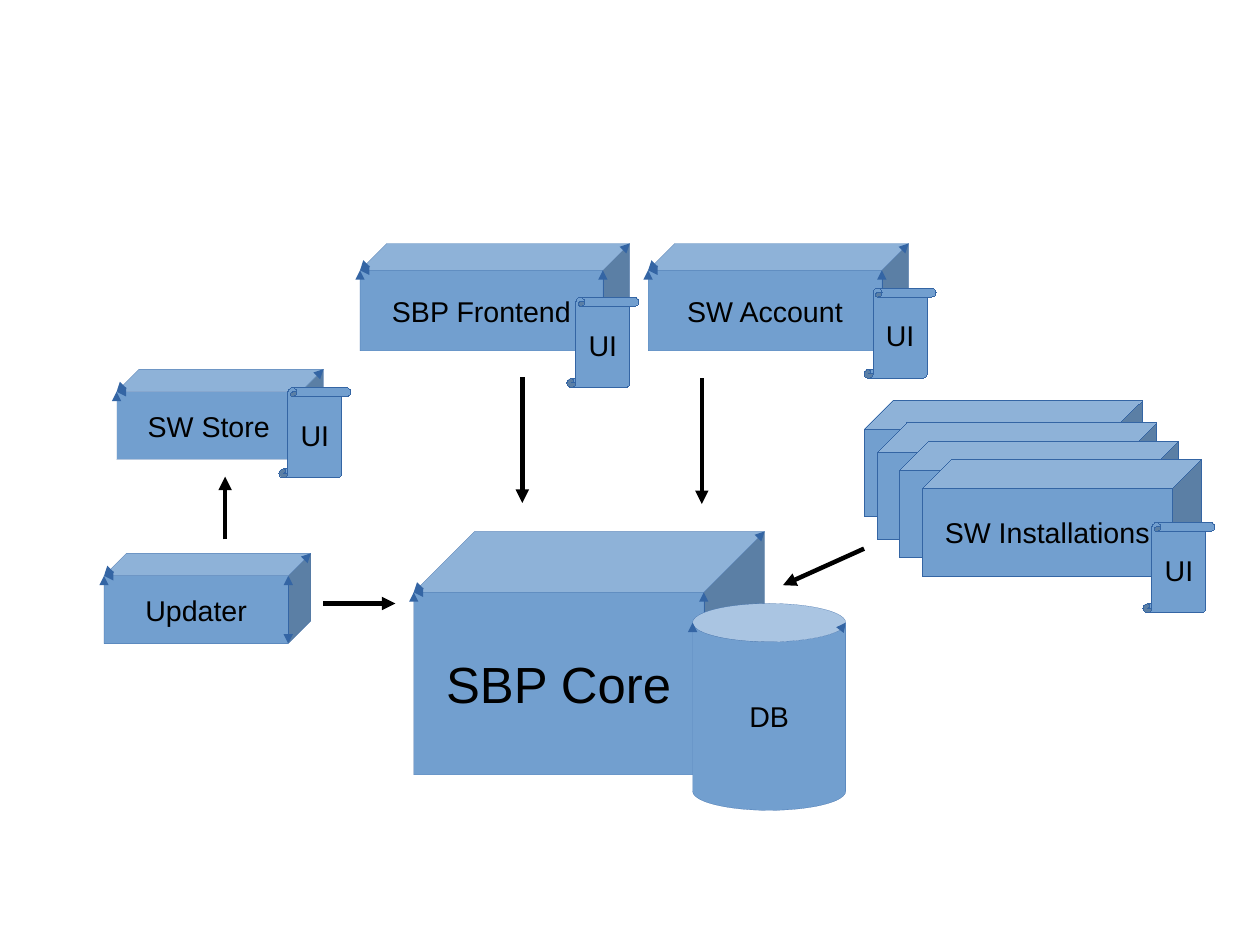
"""Builds the SBP architecture slide: systems, their user interfaces and data flows."""
from lxml.etree import SubElement
from pptx import Presentation
from pptx.dml.color import RGBColor
from pptx.enum.shapes import MSO_CONNECTOR, MSO_SHAPE
from pptx.enum.text import MSO_ANCHOR, PP_ALIGN
from pptx.oxml.ns import qn
from pptx.util import Cm, Inches, Pt

BLUE = RGBColor(0x72, 0x9F, 0xCF)
DARK_BLUE = RGBColor(0x34, 0x65, 0xA4)
BLACK = RGBColor(0, 0, 0)

SYSTEMS = [
    ("SBP Core", (3.62, 4.65, 3.07, 2.13), 32),
    ("SW Store", (1.02, 3.23, 1.81, 0.79), 18),
    ("SW Account", (5.67, 2.13, 2.28, 0.94), 18),
    ("SBP Frontend", (3.15, 2.13, 2.36, 0.94), 18),
    ("Updater", (0.91, 4.84, 1.81, 0.79), 18),
]
DATABASE = ("DB", (6.06, 5.28, 1.34, 1.81))
INSTALLATIONS = [
    ("", (7.56, 3.5)),
    ("", (7.68, 3.7)),
    ("", (7.87, 3.86)),
    ("SW Installations", (8.07, 4.02)),
]
INSTALLATION_SIZE = (2.44, 1.02)
INTERFACES = [(2.44, 3.39), (4.96, 2.6), (7.56, 2.52), (10, 4.57)]
INTERFACE_SIZE = (0.63, 0.79)
FLOWS = [
    ((6.14, 3.31), (6.14, 4.41)),
    ((7.56, 4.8), (6.85, 5.12)),
    ((2.83, 5.28), (3.46, 5.28)),
    ((1.97, 4.72), (1.97, 4.17)),
    ((4.57, 3.3), (4.57, 4.4)),
]


def add_arrowheads(outline, *ends):
    for end in ends:
        SubElement(outline, qn(end), type="triangle")


def add_part(slide, text, *, preset, box, size=18, arrowheads=False):
    part = slide.shapes.add_shape(preset, *map(Inches, box))
    part.shadow.inherit = False
    part.fill.solid()
    part.fill.fore_color.rgb = BLUE
    part.line.color.rgb = DARK_BLUE
    outline = part._element.spPr.find(qn("a:ln"))
    outline.set("w", "0")
    if arrowheads:
        add_arrowheads(outline, "a:headEnd", "a:tailEnd")
    if text:
        frame = part.text_frame
        frame.word_wrap = False
        frame.vertical_anchor = MSO_ANCHOR.MIDDLE
        paragraph = frame.paragraphs[0]
        paragraph.alignment = PP_ALIGN.CENTER
        run = paragraph.add_run()
        run.text = text
        run.font.name = "Arial"
        run.font.size = Pt(size)
        run.font.color.rgb = BLACK


def add_flow(slide, start, tip):
    flow = slide.shapes.add_connector(MSO_CONNECTOR.STRAIGHT, *map(Inches, start + tip))
    flow.line.color.rgb = BLACK
    flow.line.width = Pt(2.83)
    properties = flow._element.spPr
    add_arrowheads(properties.find(qn("a:ln")), "a:tailEnd")
    SubElement(properties, qn("a:effectLst"))


def main():
    deck = Presentation()
    deck.slide_width, deck.slide_height = Cm(28), Cm(21)
    slide = deck.slides.add_slide(deck.slide_layouts[6])

    for name, box, size in SYSTEMS:
        add_part(slide, name, preset=MSO_SHAPE.CUBE, box=box, size=size, arrowheads=True)
    for name, corner in INSTALLATIONS:
        add_part(slide, name, preset=MSO_SHAPE.CUBE, box=corner + INSTALLATION_SIZE)
    database, database_box = DATABASE
    add_part(slide, database, preset=MSO_SHAPE.CAN, box=database_box, arrowheads=True)
    for start, tip in FLOWS:
        add_flow(slide, start, tip)
    for corner in INTERFACES:
        add_part(slide, "UI", preset=MSO_SHAPE.VERTICAL_SCROLL, box=corner + INTERFACE_SIZE)

    deck.save("out.pptx")


if __name__ == "__main__":
    main()
